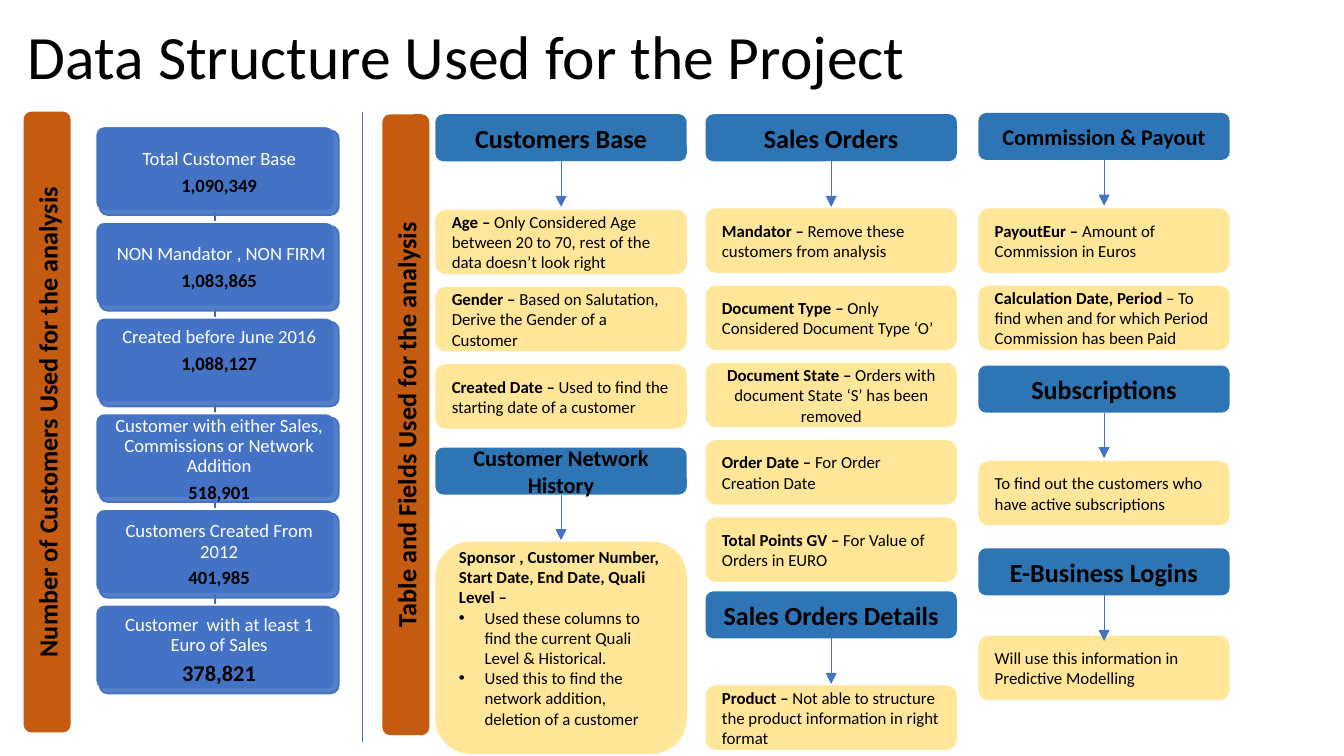
"""Build the slide that shows the data structure used for the project."""
from lxml.etree import SubElement
from pptx import Presentation
from pptx.dml.color import RGBColor
from pptx.enum.shapes import MSO_CONNECTOR as Connector, MSO_SHAPE as Shape
from pptx.enum.text import MSO_ANCHOR as Anchor, PP_ALIGN as Align
from pptx.oxml.ns import qn
from pptx.util import Inches, Pt

TITLE = "Data Structure Used for the Project"
BANDS = [
    ("Number of Customers Used for the analysis", 0.35, 3.14),
    ("Table and Fields Used for the analysis", 3.02, 3.16),
]
CARDS = [
    ("Total Customer Base", "1,090,349", 10, 0.04),
    (" NON Mandator , NON FIRM", "1,083,865", 10, 0.04),
    ("Created before June 2016", "1,088,127", 10, 0.23),
    ("Customer with either Sales, Commissions or Network Addition", "518,901", 10, 0.04),
    ("Customers Created From 2012", "401,985", 10, 0.04),
    ("Customer  with at least 1 Euro of Sales", "378,821", 12, 0.04),
]
BLOCKS = [
    (0, 0.85, "Customers Base", 14, 0.71, [
        ("Age – ", "Only Considered Age between 20 to 70, rest of the data doesn’t look right"),
        ("Gender – ", "Based on Salutation, Derive the Gender of a Customer"),
        ("Created Date – ", "Used to find the starting date of a customer"),
    ]),
    (0, 3.33, "Customer Network History", 12, 0.7, [
        ("Sponsor , Customer Number, Start Date, End Date, Quali Level –", "",
         "Used these columns to find the current Quali Level & Historical.",
         "Used this to find the network addition, deletion of a customer"),
    ]),
    (1, 0.85, "Sales Orders", 14, 0.7, [
        ("Mandator – ", "Remove these customers from analysis"),
        ("Document Type – ", "Only Considered Document Type ‘O’"),
        ("Document State – ", "Orders with document State ‘S’ has been removed"),
        ("Order Date – ", "For Order Creation Date"),
        ("Total Points GV – ", "For Value of Orders in EURO"),
    ]),
    (1, 4.4, "Sales Orders Details", 14, 0.7, [
        ("Product – ", "Not able to structure the product information in right format"),
    ]),
    (2, 0.84, "Commission & Payout", 12, 0.71, [
        ("PayoutEur – ", "Amount of Commission in Euros"),
        ("Calculation Date, Period ",
         "– To find when and for which Period Commission has been Paid"),
    ]),
    (2, 2.72, "Subscriptions", 14, 0.71, [
        ("", "To find out the customers who have active subscriptions"),
    ]),
    (2, 4.08, "E-Business Logins", 14, 0.65, [
        ("", "Will use this information in Predictive Modelling"),
    ]),
]
CENTRED_FIELDS = {"Document State – "}

FONT = "Calibri"
BLACK, WHITE = RGBColor(0, 0, 0), RGBColor(255, 255, 255)
CARD_BLUE = RGBColor(0x44, 0x72, 0xC4)
LINK_BLUE = RGBColor(0x3E, 0x67, 0xB2)
HEADING_BLUE = RGBColor(0x2E, 0x75, 0xB6)
FIELD_YELLOW = RGBColor(0xFF, 0xE6, 0x99)
BAND_ORANGE = RGBColor(0xC5, 0x5A, 0x11)

COLUMN_LEFTS = (3.24, 5.25, 7.28)
COLUMN_WIDTH, HEADING_HEIGHT = 1.87, 0.35
FIELD_HEIGHT, TALL_FIELD_HEIGHT = 0.48, 1.58
FIELD_STEP = 2.3 / 4
ARROW_LENGTH = 0.34
BAND_LENGTH, BAND_THICKNESS = 4.62, 0.35
CARD_LEFT, CARD_WIDTH, CARD_HEIGHT, CARD_OFFSET = 0.71, 1.78, 0.63, 0.03
FIRST_CARD_TOP, LAST_CARD_TOP = 0.94, 4.5
CARD_STEP = (LAST_CARD_TOP - FIRST_CARD_TOP) / (len(CARDS) - 1)


def add_run(paragraph, text, size, bold=False, color=BLACK):
    run = paragraph.add_run()
    run.text = text
    run.font.name, run.font.size, run.font.bold = FONT, Pt(size), bold
    run.font.color.rgb = color


def add_box(slide, left, top, width, height, fill, line=None):
    shape = slide.shapes.add_shape(Shape.ROUNDED_RECTANGLE, *map(Inches, (left, top, width, height)))
    shape.shadow.inherit = False
    shape.fill.solid()
    shape.fill.fore_color.rgb = fill
    if line is None:
        shape.line.fill.background()
    else:
        shape.line.color.rgb, shape.line.width = line, Pt(1)
    shape.text_frame.word_wrap = True
    shape.text_frame.vertical_anchor = Anchor.MIDDLE
    shape.text_frame.paragraphs[0].alignment = Align.LEFT
    return shape


def add_line(slide, x, top, bottom, color=CARD_BLUE, width=0.5, arrow=False):
    line = slide.shapes.add_connector(Connector.STRAIGHT, *map(Inches, (x, top, x, bottom)))
    line.line.color.rgb, line.line.width = color, Pt(width)
    if arrow:
        SubElement(line.line._get_or_add_ln(), qn("a:tailEnd"), type="triangle")
    SubElement(line._element.spPr, qn("a:effectLst"))
    return line


def add_label(slide, left, top, width, height, fill, text, size):
    label = add_box(slide, left, top, width, height, fill)
    paragraph = label.text_frame.paragraphs[0]
    paragraph.alignment = Align.CENTER
    add_run(paragraph, text, size, bold=True)
    return label


def add_cards(slide):
    tops = [FIRST_CARD_TOP + row * CARD_STEP for row in range(len(CARDS))]
    center = CARD_LEFT + CARD_WIDTH / 2
    links = [add_line(slide, center, top + CARD_HEIGHT, below, LINK_BLUE, 1)
             for top, below in zip(tops, tops[1:])]
    backs = []
    for top, (caption, count, count_size, bottom_inset) in zip(tops, CARDS):
        backs.append(add_box(slide, CARD_LEFT, top, CARD_WIDTH, CARD_HEIGHT, CARD_BLUE, WHITE))
        front = add_box(slide, CARD_LEFT + CARD_OFFSET, top + CARD_OFFSET,
                        CARD_WIDTH, CARD_HEIGHT, CARD_BLUE, CARD_BLUE)
        color = front._element.spPr.find(qn("a:solidFill"))[0]
        SubElement(color, qn("a:alpha"), val="90000")
        backs[-1].adjustments[0] = front.adjustments[0] = 0.1
        frame = front.text_frame
        frame.margin_left = frame.margin_right = frame.margin_top = Inches(0.04)
        frame.margin_bottom = Inches(bottom_inset)
        add_run(frame.paragraphs[0], caption, 10, color=WHITE)
        add_run(frame.add_paragraph(), count, count_size, bold=True)
        for paragraph in frame.paragraphs:
            paragraph.alignment = Align.CENTER
            paragraph.line_spacing, paragraph.space_after = 0.9, Pt(3.5)
    for link, above, below in zip(links, backs, backs[1:]):
        link.begin_connect(above, 2)
        link.end_connect(below, 0)


def add_field(slide, left, top, name, description, *bullets):
    height = TALL_FIELD_HEIGHT if bullets else FIELD_HEIGHT
    frame = add_box(slide, left, top, COLUMN_WIDTH, height, FIELD_YELLOW).text_frame
    paragraph = frame.paragraphs[0]
    if name in CENTRED_FIELDS:
        paragraph.alignment = Align.CENTER
    for text, bold in ((name, True), (description, False)):
        if text:
            add_run(paragraph, text, 9, bold)
    if bullets:
        frame.margin_bottom = Inches(0.2)
    for bullet in bullets:
        paragraph = frame.add_paragraph()
        paragraph.alignment = Align.LEFT
        properties = paragraph._p.get_or_add_pPr()
        properties.set("marL", str(Inches(0.19)))
        properties.set("indent", str(-Inches(0.19)))
        SubElement(properties, qn("a:buFont"), typeface="Arial")
        SubElement(properties, qn("a:buChar"), char="•")
        add_run(paragraph, bullet, 9)


def add_block(slide, column, top, title, size, first_field, fields):
    left = COLUMN_LEFTS[column]
    heading = add_label(slide, left, top, COLUMN_WIDTH, HEADING_HEIGHT, HEADING_BLUE, title, size)
    for row, field in enumerate(fields):
        add_field(slide, left, top + first_field + row * FIELD_STEP, *field)
    bottom = top + HEADING_HEIGHT
    arrow = add_line(slide, left + COLUMN_WIDTH / 2, bottom, bottom + ARROW_LENGTH, arrow=True)
    arrow.begin_connect(heading, 2)


def main():
    presentation = Presentation()
    presentation.slide_width = Inches(10)
    presentation.slide_height = presentation.slide_width * 9 // 16
    slide = presentation.slides.add_slide(presentation.slide_layouts[6])
    add_cards(slide)
    title = slide.shapes.add_textbox(*map(Inches, (0.11, 0.12, 9.79, 0.64))).text_frame
    title.word_wrap, title.vertical_anchor = True, Anchor.MIDDLE
    title.paragraphs[0].line_spacing = 0.9
    add_run(title.paragraphs[0], TITLE, 33)
    for block in BLOCKS:
        add_block(slide, *block)
    add_line(slide, 2.7, 0.83, 5.52)
    for text, center_x, center_y in BANDS:
        band = add_label(slide, center_x - BAND_LENGTH / 2, center_y - BAND_THICKNESS / 2,
                         BAND_LENGTH, BAND_THICKNESS, BAND_ORANGE, text, 14)
        band.rotation = 270
    presentation.save("out.pptx")


if __name__ == "__main__":
    main()
